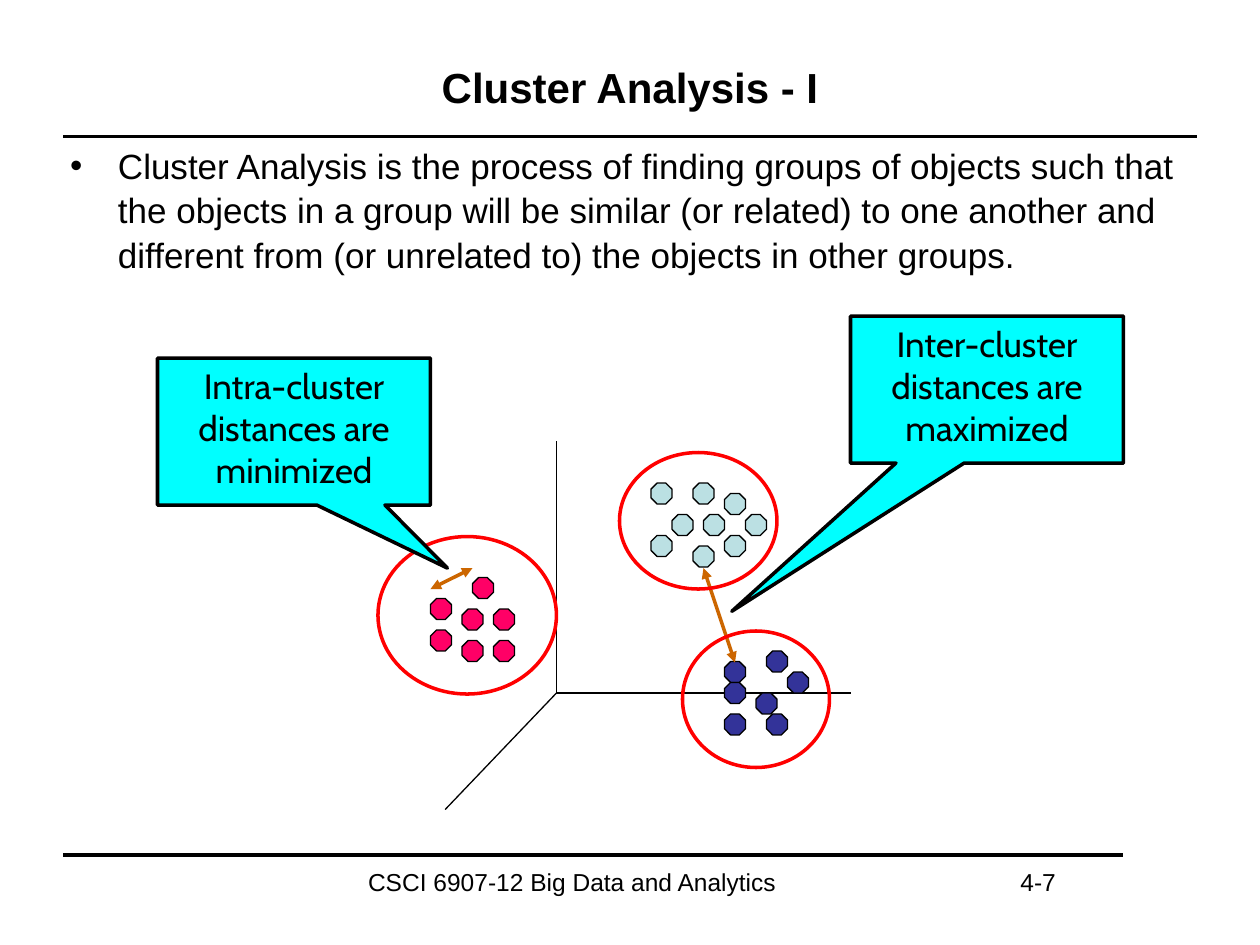
from pptx import Presentation
from pptx.dml.color import RGBColor
from pptx.enum.shapes import MSO_CONNECTOR, MSO_SHAPE
from pptx.enum.text import MSO_ANCHOR, PP_ALIGN
from pptx.oxml.ns import qn
from pptx.util import Inches, Pt
from lxml.etree import SubElement

BLACK = RGBColor(0, 0, 0)
RED = RGBColor(0xFF, 0, 0)
CYAN = RGBColor(0, 0xFF, 0xFF)
ORANGE = RGBColor(0xCC, 0x66, 0)
PALE = RGBColor(0xBB, 0xE0, 0xE3)
PINK = RGBColor(0xFF, 0, 0x66)
NAVY = RGBColor(0x33, 0x33, 0x99)

COLS, ROWS = 120, 90
DOT = 2
CLUSTERS = [
    (PALE, [(64, 49), (67, 49), (66, 46), (66, 52), (71, 49),
            (69, 47), (62, 46), (69, 51), (62, 51)]),
    (PINK, [(41, 57), (44, 58), (44, 61), (47, 58), (45, 55), (47, 61), (41, 60)]),
    (NAVY, [(69, 63), (75, 64), (72, 66), (69, 68), (73, 68), (69, 65), (73, 62)]),
]
RINGS = [(36, 51.1, 17, 15), (59, 43.1, 15, 13), (65, 60.1, 14, 13)]
AXES = [(53, 42, 53, 66), (53, 66, 81, 66), (53, 66, 42.4, 77.1)]


class Deck:
    font = "Arial"
    callout_font = "Cabin"

    def __init__(self):
        self.prs = Presentation()
        self.prs.slide_width, self.prs.slide_height = Inches(10), Inches(7.5)
        self.s = self.prs.slides.add_slide(self.prs.slide_layouts[6])

    def grid(self, *cells):
        sizes = (self.prs.slide_width / COLS, self.prs.slide_height / ROWS)
        return [round(c * sizes[i % 2]) for i, c in enumerate(cells)]

    def fill_text(self, tf, text, size, font, align, bold=False):
        tf.word_wrap = True
        p = tf.paragraphs[0]
        p.alignment = align
        r = p.add_run()
        r.text = text
        r.font.name, r.font.size, r.font.bold = font, Pt(size), bold
        r.font.color.rgb = BLACK
        return p

    def text(self, box, text, size, align=PP_ALIGN.LEFT, bold=False, anchor=MSO_ANCHOR.TOP):
        tf = self.s.shapes.add_textbox(*self.grid(*box)).text_frame
        tf.vertical_anchor = anchor
        return self.fill_text(tf, text, size, self.font, align, bold)

    def bullet(self, box, text, size):
        p = self.text(box, text, size)
        p.space_before = Pt(5)
        p.line_spacing = 1.05
        pPr = p._p.get_or_add_pPr()
        pPr.set("marL", str(Inches(0.38)))
        pPr.set("indent", str(-Inches(0.38)))
        SubElement(pPr, qn("a:buFont"), typeface=self.font)
        SubElement(pPr, qn("a:buChar"), char="•")

    def line(self, ends, width, color=BLACK, arrows=False):
        c = self.s.shapes.add_connector(MSO_CONNECTOR.STRAIGHT, *self.grid(*ends))
        c.line.color.rgb, c.line.width = color, Pt(width)
        spPr = c._element.spPr
        if arrows:
            for end in ("a:headEnd", "a:tailEnd"):
                SubElement(spPr.find(qn("a:ln")), qn(end), type="triangle")
        SubElement(spPr, qn("a:effectLst"))

    def shape(self, kind, box, fill=None, color=BLACK, width=0.75):
        sp = self.s.shapes.add_shape(kind, *self.grid(*box))
        sp.shadow.inherit = False
        if fill is None:
            sp.fill.background()
        else:
            sp.fill.solid()
            sp.fill.fore_color.rgb = fill
        sp.line.color.rgb, sp.line.width = color, Pt(width)
        return sp

    def callout(self, box, tip, text):
        sp = self.shape(MSO_SHAPE.RECTANGULAR_CALLOUT, box, CYAN, width=2)
        sp.adjustments[0], sp.adjustments[1] = tip
        tf = sp.text_frame
        tf.vertical_anchor = MSO_ANCHOR.TOP
        p = self.fill_text(tf, text, 20, self.callout_font, PP_ALIGN.CENTER)
        p.space_before = Pt(12.5)


def main():
    d = Deck()
    d.line((7, 13, 114, 13), 0.75)
    d.line((6, 13, 114, 13), 2.25)
    d.line((6, 81.4, 107, 81.4), 2.25)
    d.text((6, 3.6, 108, 9.4), "Cluster Analysis - I", 24, PP_ALIGN.CENTER, True,
           MSO_ANCHOR.MIDDLE)
    d.bullet((5.5, 13, 108, 14),
             "Cluster Analysis is the process of finding groups of objects such that "
             "the objects in a group will be similar (or related) to one another and "
             "different from (or unrelated to) the objects in other groups.", 20)
    d.text((30, 82, 49, 6.2), "CSCI 6907-12 Big Data and Analytics", 14, PP_ALIGN.CENTER)
    d.text((96, 82, 9, 6.2), "4-7", 14)

    for ends in AXES:
        d.line(ends, 0.75)
    for color, dots in CLUSTERS:
        for dot in dots:
            d.shape(MSO_SHAPE.OCTAGON, (*dot, DOT, DOT), color)

    d.line((70, 63.1, 67, 54.1), 2, ORANGE, True)
    d.callout((81, 30.1, 26, 14), (-0.935, 1.509), "Inter-cluster distances are maximized")
    for ring in RINGS:
        d.shape(MSO_SHAPE.OVAL, ring, color=RED, width=2)
    d.line((41, 56.1, 45, 54.1), 2, ORANGE, True)
    d.callout((15, 34.1, 26, 14), (0.562, 0.929), "Intra-cluster distances are minimized")
    d.prs.save("out.pptx")


if __name__ == "__main__":
    main()
